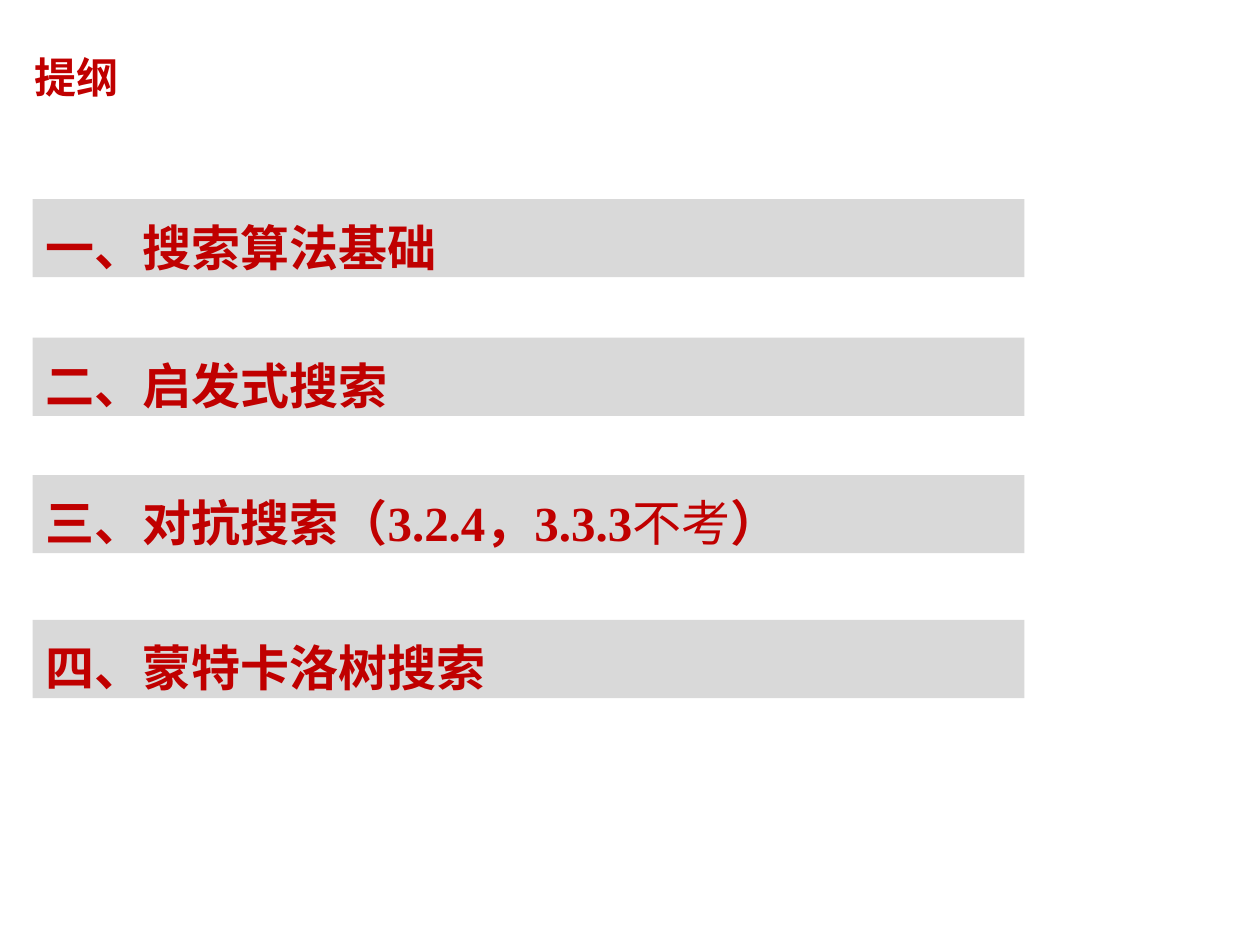
import pptx
import pptx.util
import pptx.dml.color
import pptx.enum.shapes
import pptx.enum.text

HUES = {"red": "C00000", "grey": "D9D9D9"}
FONT = "Times New Roman"
COLS, ROWS = 100, 75
LEFT = pptx.enum.text.PP_ALIGN.LEFT
ANCHOR = pptx.enum.text.MSO_ANCHOR
FIT = pptx.enum.text.MSO_AUTO_SIZE


def hue(name):
    return pptx.dml.color.RGBColor.from_string(HUES[name])


def write(para, text, size=28, bold=True, color="red"):
    """Add one formatted run to a paragraph."""
    run = para.add_run()
    run.text = text
    run.font.name = FONT
    run.font.size = pptx.util.Pt(size)
    run.font.bold = bold
    run.font.color.rgb = hue(color)


class Deck:
    def __init__(self):
        self.prs = pptx.Presentation()
        self.prs.slide_width = pptx.util.Inches(10)
        self.prs.slide_height = pptx.util.Inches(7.5)
        self.slide = self.prs.slides.add_slide(self.prs.slide_layouts[5])

    def area(self, col, row, wide, high):
        """Turn grid columns and rows into slide lengths."""
        x = self.prs.slide_width / COLS
        y = self.prs.slide_height / ROWS
        return [round(n) for n in (col * x, row * y, wide * x, high * y)]

    def title(self, text, *cells):
        shape = self.slide.shapes.title
        shape.left, shape.top, shape.width, shape.height = self.area(*cells)
        frame = shape.text_frame
        frame.auto_size = FIT.NONE
        frame.vertical_anchor = ANCHOR.MIDDLE
        frame.margin_left = pptx.util.Inches(0.25)
        para = frame.paragraphs[0]
        para.alignment = LEFT
        write(para, text, size=24)

    def bar(self, parts, *cells):
        """Draw a grey bar; parts are (text, bold) pairs."""
        kind = pptx.enum.shapes.MSO_SHAPE.RECTANGLE
        shape = self.slide.shapes.add_shape(kind, *self.area(*cells))
        shape.shadow.inherit = False
        shape.fill.solid()
        shape.fill.fore_color.rgb = hue("grey")
        shape.line.fill.background()
        frame = shape.text_frame
        frame.word_wrap = True
        frame.auto_size = FIT.SHAPE_TO_FIT_TEXT
        frame.vertical_anchor = ANCHOR.TOP
        para = frame.paragraphs[0]
        para.alignment = LEFT
        para.line_spacing = 1.2
        for text, bold in parts:
            write(para, text, bold=bold)


def main():
    deck = Deck()

    # Heading
    deck.title("提纲", 0.2, 1.1, 74.2, 9.9)

    # Outline bars, each with its top row
    items = [
        (15.8, [("一、搜索算法基础", True)]),
        (26.8, [("二、启发式搜索", True)]),
        (37.7, [("三、对抗搜索（3.2.4，3.3.3", True), ("不考", False), ("）", True)]),
        (49.2, [("四、蒙特卡洛树搜索", True)]),
    ]
    for row, parts in items:
        deck.bar(parts, 2.6, row, 78.7, 6.2)

    deck.prs.save("out.pptx")


if __name__ == "__main__":
    main()
